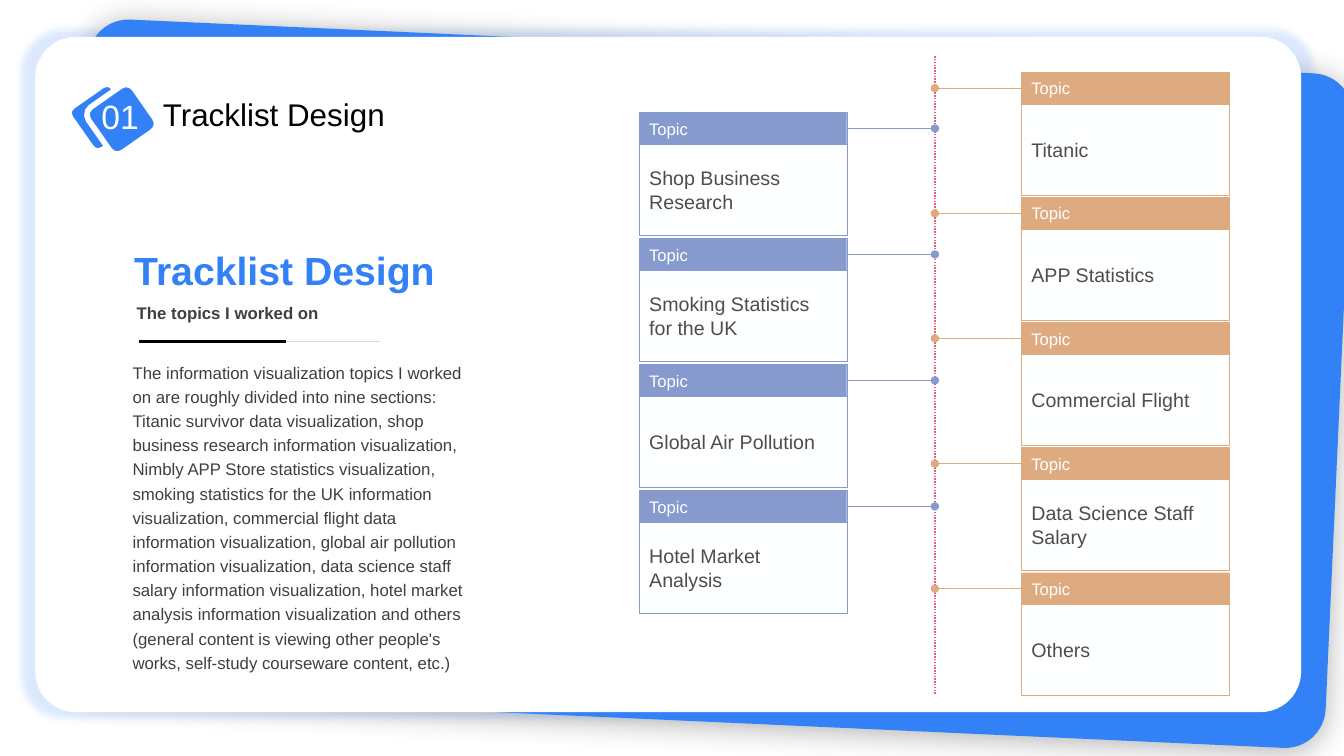
from lxml.etree import SubElement
from pptx import Presentation
from pptx.dml.color import RGBColor
from pptx.enum.dml import MSO_LINE
from pptx.enum.shapes import MSO_CONNECTOR, MSO_SHAPE
from pptx.enum.text import MSO_ANCHOR, PP_ALIGN
from pptx.oxml.ns import qn
from pptx.util import Inches, Pt

COLORS = {
    "blue": "3281F6", "white": "FFFFFF", "black": "000000", "ink": "3F3F3F",
    "rule": "D8D8D8", "axis": "E95D7B", "tan": "DEAB81", "violet": "869ACD",
    "paper": "FEFFFF", "topic": "4D4D4D",
}
FONT = "Arial"
COLUMNS = 16
AXIS = 11.13
CARD_WIDTH, HEADER_HEIGHT, CARD_HEIGHT = 2.47, 0.38, 1.08
BODY = (
    "The information visualization topics I worked on are roughly divided into nine "
    "sections: Titanic survivor data visualization, shop business research information "
    "visualization, Nimbly APP Store statistics visualization, smoking statistics for the "
    "UK information visualization, commercial flight data information visualization, "
    "global air pollution information visualization, data science staff salary information "
    "visualization, hotel market analysis information visualization and others (general "
    "content is viewing other people's works, self-study courseware content, etc.)"
)
LEFT_TOPICS = ["Shop Business Research", "Smoking Statistics for the UK",
               "Global Air Pollution", "Hotel Market Analysis"]
RIGHT_TOPICS = ["Titanic", "APP Statistics", "Commercial Flight",
                "Data Science Staff Salary", "Others"]


def color(name):
    return RGBColor.from_string(COLORS[name])


def apply(target, values):
    for name, value in values.items():
        setattr(target, name, value)


class Slide:
    """Draw styled elements on one slide, measured in square cells of a 16 by 9 grid."""

    def __init__(self, deck):
        self.page = deck.slides.add_slide(deck.slide_layouts[6])
        self.cell = deck.slide_width / COLUMNS

    def grid(self, *cells):
        return [round(value * self.cell) for value in cells]

    def label(self, shape, text, size, ink, bold=False, **layout):
        frame = shape.text_frame
        apply(frame, {"word_wrap": True,
                      "vertical_anchor": layout.pop("anchor", MSO_ANCHOR.TOP)})
        para = frame.paragraphs[0]
        apply(para, {"alignment": PP_ALIGN.LEFT, **layout})
        span = para.add_run()
        span.text = text
        apply(span.font, {"name": FONT, "size": Pt(size), "bold": bold})
        span.font.color.rgb = color(ink)

    def text(self, place, text, size, ink, **style):
        self.label(self.page.shapes.add_textbox(*self.grid(*place)), text, size, ink, **style)

    def box(self, place, fill, line=None, weight=0, corner=None, rotation=0):
        kind = MSO_SHAPE.RECTANGLE if corner is None else MSO_SHAPE.ROUNDED_RECTANGLE
        box = self.page.shapes.add_shape(kind, *self.grid(*place))
        box.rotation = rotation
        box.shadow.inherit = False
        if corner is not None:
            box.adjustments[0] = corner
        box.fill.solid()
        box.fill.fore_color.rgb = color(fill)
        if line:
            box.line.color.rgb = color(line)
            box.line.width = Pt(weight)
        else:
            box.line.fill.background()
        return box

    def shadow(self, box, tint, alpha, blur, distance=0, scale=100):
        effects = box._element.spPr.find(qn("a:effectLst"))
        outer = SubElement(effects, qn("a:outerShdw"), {
            "blurRad": str(Pt(blur)), "dist": str(Pt(distance)), "dir": "5400000",
            "sx": str(scale * 1000), "sy": str(scale * 1000),
            "algn": "ctr", "rotWithShape": "0"})
        shade = SubElement(outer, qn("a:srgbClr"), val=COLORS[tint])
        SubElement(shade, qn("a:alpha"), val=str(alpha * 1000))

    def line(self, start, end, tint, weight, dash=None, dot=None):
        line = self.page.shapes.add_connector(
            MSO_CONNECTOR.STRAIGHT, *self.grid(*start, *end))
        apply(line.line, {"width": Pt(weight), "dash_style": dash})
        line.line.color.rgb = color(tint)
        if dot:
            SubElement(line._element.spPr.find(qn("a:ln")), qn(dot), type="oval")
        SubElement(line._element.spPr, qn("a:effectLst"))
        return line

    def topic(self, left, top, name, tint):
        middle = top + HEADER_HEIGHT / 2
        header = self.box((left, top, CARD_WIDTH, HEADER_HEIGHT), tint, tint, 0.25)
        card = self.box((left, top + HEADER_HEIGHT, CARD_WIDTH, CARD_HEIGHT),
                        "paper", tint, 0.25)
        self.label(header, "Topic", 11.9, "white", anchor=MSO_ANCHOR.MIDDLE)
        self.label(card, name, 14, "topic", anchor=MSO_ANCHOR.MIDDLE)
        if left < AXIS:
            link = self.line((left + CARD_WIDTH, middle), (AXIS, middle), tint, 0.5,
                             dot="a:tailEnd")
            link.begin_connect(header, 3)
        else:
            link = self.line((AXIS, middle), (left, middle), tint, 0.5, dot="a:headEnd")
            link.end_connect(header, 1)

    def topics(self, left, top, step, names, tint):
        for row, name in enumerate(names):
            self.topic(left, top + row * step, name, tint)


def main():
    deck = Presentation()
    apply(deck, {"slide_width": Inches(13.33), "slide_height": Inches(7.5)})
    slide = Slide(deck)

    backdrop = slide.box((0.88, 0.55, 15.07, 8.04), "blue", corner=0.06, rotation=2.6)
    slide.shadow(backdrop, "ink", 40, 22, distance=3)
    panel = slide.box((0.42, 0.44, 15.07, 8.04), "white", corner=0.06)
    slide.shadow(panel, "blue", 16, 5, scale=102)

    for left, top, weight in [(0.89, 1.07, 6), (1.12, 1.09, 4)]:
        slide.box((left, top, 0.66, 0.66), "blue", "white", weight, corner=0.17, rotation=55)
    slide.text((1.82, 1.08, 3.23, 0.56), "Tracklist Design", 22.4, "black")
    slide.text((1.04, 1.08, 0.78, 0.6), "01", 24, "white", alignment=PP_ALIGN.CENTER)

    slide.text((1.48, 2.87, 4.26, 0.76), "Tracklist Design", 28, "blue", bold=True)
    slide.text((1.51, 3.55, 2.96, 0.36), "The topics I worked on", 12, "ink", bold=True)
    slide.line((1.69, 4.07), (4.52, 4.07), "rule", 0.75)
    slide.line((1.66, 4.07), (3.41, 4.07), "black", 2)
    slide.text((1.46, 4.21, 4.27, 3.8), BODY, 12, "ink", line_spacing=1.2)

    slide.line((AXIS, 0.67), (AXIS, 8.26), "axis", 1, dash=MSO_LINE.ROUND_DOT)
    slide.topics(7.61, 1.34, 1.5, LEFT_TOPICS, "violet")
    slide.topics(12.16, 0.86, 1.49, RIGHT_TOPICS, "tan")

    deck.save("out.pptx")


if __name__ == "__main__":
    main()
